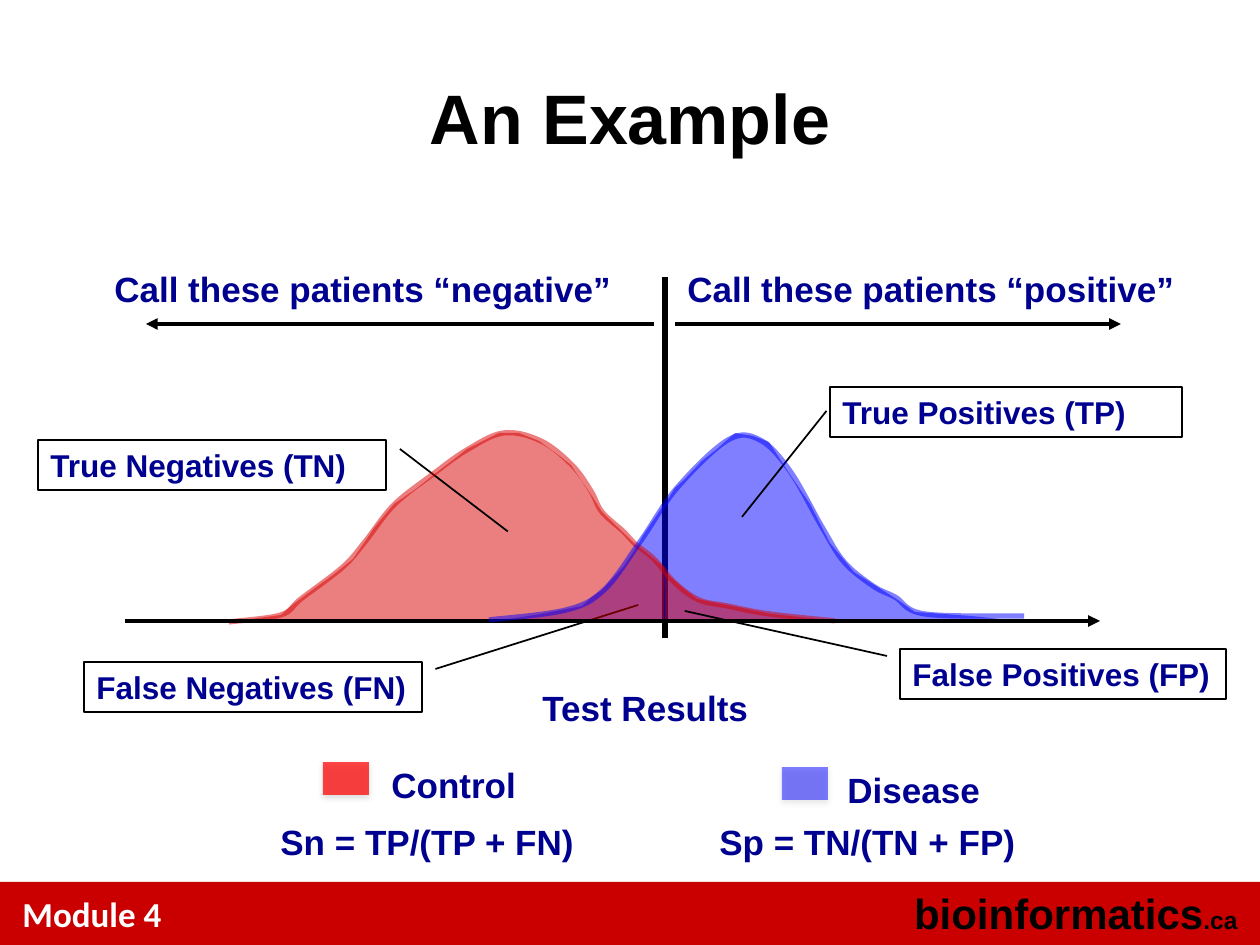
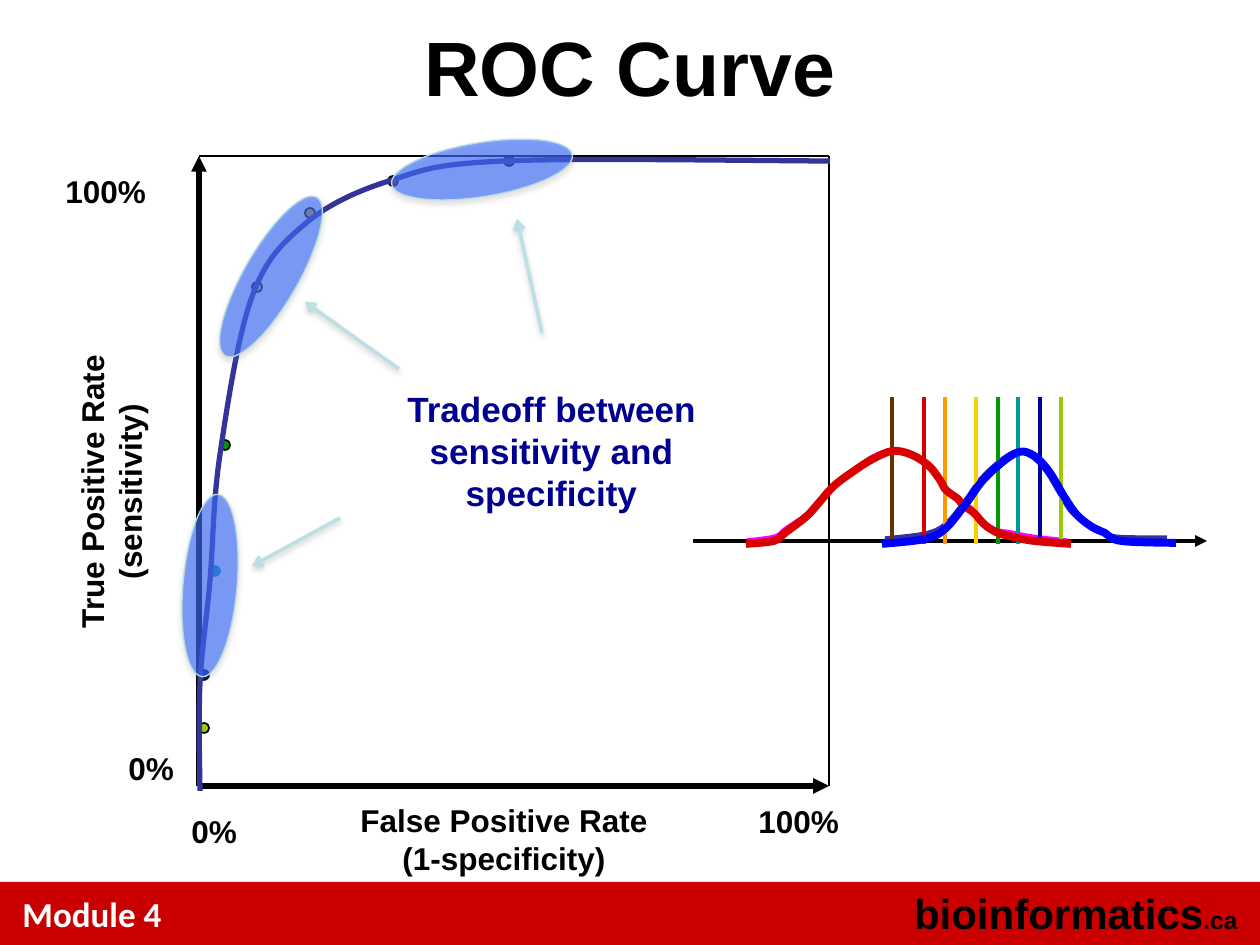
from lxml.etree import SubElement
from pptx import Presentation
from pptx.dml.color import RGBColor
from pptx.enum.shapes import MSO_CONNECTOR, MSO_SHAPE as SHAPE
from pptx.enum.text import MSO_ANCHOR as ANCHOR, PP_ALIGN as ALIGN
from pptx.oxml import parse_xml
from pptx.oxml.ns import qn
from pptx.util import Pt

PX = 914400 / 126
rgb = RGBColor.from_string

BLACK, WHITE, NAVY, BAND = "000000", "FFFFFF", "000090", "CA0000"
RED, BLUE, INDIGO = "D80000", "0000FF", "333399"
HIGHLIGHT, HIGHLIGHT_EDGE, POINTER = "3366FF", "B6DCDF", "BBE0E3"
SHADOW = (
    '<a:outerShdw xmlns:a="http://schemas.openxmlformats.org/drawingml/2006/main"'
    ' blurRad="40000" dist="23000" dir="5400000" rotWithShape="0">'
    '<a:srgbClr val="808080"><a:alpha val="35000"/></a:srgbClr></a:outerShdw>'
)


def write(slide, text, box, size, color=NAVY, align=ALIGN.LEFT, kind=None):
    """Add bold text in a text box, or in a preset shape if kind is given."""
    place = [round(v * PX) for v in box]
    if kind is None:
        shape = slide.shapes.add_textbox(*place)
    else:
        shape = slide.shapes.add_shape(kind, *place)
        shape.shadow.inherit = False
        shape.fill.background()
    frame = shape.text_frame
    frame.word_wrap = True
    frame.vertical_anchor = ANCHOR.TOP
    frame.text = text
    for paragraph in frame.paragraphs:
        paragraph.alignment = align
        paragraph.font.name = "Arial"
        paragraph.font.size = Pt(size)
        paragraph.font.bold = True
        paragraph.font.color.rgb = rgb(color)
    return shape


def stroke(slide, points, color, width, head=None, alpha=100, shadow=False):
    """Draw a straight connector for two points, a smooth curve for more."""
    spots = [(round(x * PX), round(y * PX)) for x, y in points]
    if len(spots) == 2:
        mark = slide.shapes.add_connector(MSO_CONNECTOR.STRAIGHT, *spots[0], *spots[1])
    else:
        padded = [spots[0], *spots, spots[-1]]
        steps = []
        for before, start, end, after in zip(padded, padded[1:], padded[2:], padded[3:]):
            steps.append([s + (e - b) / 6 for b, s, e in zip(before, start, end)])
            steps.append([e - (a - s) / 6 for s, e, a in zip(start, end, after)])
            steps.append(end)
        builder = slide.shapes.build_freeform(*spots[0], scale=1.0)
        builder.add_line_segments(steps, close=False)
        mark = builder.convert_to_shape()
        mark.fill.background()
        segments = list(mark._element.iter(qn("a:lnTo")))
        for triple in zip(segments[::3], segments[1::3], segments[2::3]):
            parent = triple[0].getparent()
            bezier = SubElement(parent, qn("a:cubicBezTo"))
            for segment in triple:
                bezier.append(segment[0])
                parent.remove(segment)
    mark.line.color.rgb = rgb(color)
    mark.line.width = Pt(width)
    properties = mark._element.spPr
    outline = properties.find(qn("a:ln"))
    if alpha < 100:
        SubElement(next(outline.iter(qn("a:srgbClr"))), qn("a:alpha"), val=str(alpha * 1000))
    if head:
        SubElement(outline, qn("a:tailEnd"), type=head)
    effects = SubElement(properties, qn("a:effectLst"))
    if shadow:
        effects.append(parse_xml(SHADOW))


deck = Presentation()
deck.slide_width, deck.slide_height = round(1260 * PX), round(945 * PX)

# Title and footer on both slides
slides = []
for title, box, size in [
    ("An Example", (21, 38, 1218, 158), 40),
    ("ROC Curve", (63, 0, 1134, 131), 44),
]:
    slide = deck.slides.add_slide(deck.slide_layouts[6])
    slides.append(slide)
    band = write(slide, "", (0, 882, 1260, 63), 18, kind=SHAPE.RECTANGLE)
    band.fill.solid()
    band.fill.fore_color.rgb = rgb(BAND)
    band.line.fill.background()
    module = write(slide, "Module 4", (10, 886, 924, 54), 20, WHITE)
    module.text_frame.paragraphs[0].font.name = "Calibri"
    site = write(slide, "bioinformatics", (878, 881, 372, 64), 24, BLACK, ALIGN.RIGHT)
    domain = site.text_frame.paragraphs[0].add_run()
    domain.text = ".ca"
    domain.font.size = Pt(14)
    heading = write(slide, title, box, size, BLACK, ALIGN.CENTER)
    heading.text_frame.vertical_anchor = ANCHOR.MIDDLE
example, roc = slides

# Slide 1: threshold and calls
stroke(example, [(665, 277), (665, 638)], BLACK, 3)
for call, box, start, end in [
    ("Call these patients “negative”", (102, 261, 552, 55), 654, 146),
    ("Call these patients “positive”", (675, 261, 539, 55), 675, 1121),
]:
    stroke(example, [(start, 324), (end, 324)], BLACK, 2.25, "triangle")
    write(example, call, box, 20)

# Slide 1: the four outcome regions, each with its callout
outcomes = [
    ("True Positives (TP)", (830, 387, 352, 50), (0.48, -0.01, 2.6, -0.25), BLUE,
     [(665, 504), (675, 488), (684, 480), (702, 461), (717, 449), (735, 433), (753, 436),
      (769, 442), (789, 473), (810, 504), (830, 543), (854, 572), (898, 600), (915, 612),
      (971, 616), (1018, 621), (665, 622)]),
    ("False Positives (FP)", (900, 649, 326, 50), (0.14, -0.04, -0.76, -0.66), RED,
     [(665, 621), (664, 571), (683, 588), (697, 599), (727, 605), (771, 614), (838, 621)]),
    ("False Negatives (FN)", (84, 662, 338, 50), (0.14, 1.04, -1.14, 1.64), BLUE,
     [(665, 503), (665, 622), (489, 622), (541, 614), (582, 606), (592, 597), (602, 590),
      (624, 566), (634, 551), (644, 534)]),
    ("True Negatives (TN)", (38, 440, 348, 50), (0.18, 1.04, 1.83, 1.35), RED,
     [(229, 622), (281, 615), (291, 606), (311, 591), (333, 575), (353, 559), (364, 543),
      (374, 528), (394, 504), (416, 489), (436, 473), (457, 457), (467, 449), (499, 433),
      (519, 433), (539, 441), (561, 457), (571, 465), (581, 480), (592, 496), (602, 512),
      (634, 543), (654, 559), (664, 567), (664, 622)]),
]
for outcome, box, pointer, color, corners in outcomes:
    builder = example.shapes.build_freeform(*corners[0], scale=PX)
    builder.add_line_segments(corners[1:], close=True)
    region = builder.convert_to_shape()
    region.shadow.inherit = False
    region.fill.solid()
    region.fill.fore_color.rgb = rgb(color)
    region.line.fill.background()
    SubElement(next(region._element.spPr.iter(qn("a:srgbClr"))), qn("a:alpha"), val="50000")
    callout = write(example, outcome, box, 18, kind=SHAPE.LINE_CALLOUT_1)
    callout.line.color.rgb = rgb(BLACK)
    callout.line.width = Pt(1)
    for i, value in enumerate(pointer):
        callout.adjustments[i] = value

# Slide 1: distributions over the result axis
stroke(example, [
    (229, 622), (281, 615), (301, 599), (343, 567), (365, 542), (394, 505), (432, 475),
    (467, 450), (504, 433), (541, 441), (572, 465), (591, 491), (602, 512), (624, 532),
    (634, 543), (654, 559), (675, 583), (699, 600), (727, 606), (769, 614), (835, 621),
], RED, 3, alpha=50)
stroke(example, [(125, 621), (1100, 621)], BLACK, 2.25, "triangle")
stroke(example, [
    (489, 620), (566, 610), (604, 590), (640, 542), (677, 488), (728, 440), (760, 440),
    (790, 471), (822, 527), (844, 562), (873, 586), (895, 597), (925, 614), (1024, 616),
], BLUE, 3, alpha=50)

# Slide 1: legend and formulas
for x, y, color, alpha in [(323, 762, "FF0000", 72), (782, 767, BLUE, 50)]:
    swatch = write(example, "", (x, y, 46, 33), 20, kind=SHAPE.RECTANGLE)
    swatch.fill.solid()
    swatch.fill.fore_color.rgb = rgb(color)
    swatch.line.fill.background()
    properties = swatch._element.spPr
    SubElement(next(properties.iter(qn("a:srgbClr"))), qn("a:alpha"), val=str(alpha * 1000))
    properties.find(qn("a:effectLst")).append(parse_xml(SHADOW))
for caption, x, y, width in [
    ("Test Results", 530, 680, 343),
    ("Control", 379, 757, 166),
    ("Disease", 835, 762, 166),
    ("Sn = TP/(TP + FN)", 268, 814, 340),
    ("Sp = TN/(TN + FP)", 707, 814, 340),
]:
    write(example, caption, (x, y, width, 55), 20)

# Slide 2: ROC frame and axes
left, top, right, bottom = 199, 156, 829, 786
stroke(roc, [(left, top), (right, top)], BLACK, 1)
stroke(roc, [(right, top), (right, bottom)], BLACK, 1)
for tip in [(left, top), (right, bottom)]:
    stroke(roc, [(left, bottom), tip], BLACK, 3, "triangle")
sensitivity = write(roc, "True Positive Rate\n(sensitivity)", (-78, 447, 378, 89), 18,
                    BLACK, ALIGN.CENTER)
sensitivity.rotation = 270
write(roc, "False Positive Rate\n(1-specificity)", (336, 795, 336, 89), 18,
      BLACK, ALIGN.CENTER)
for tick, x, y in [("0%", 116, 743), ("100%", 53, 166), ("0%", 179, 806), ("100%", 746, 796)]:
    write(roc, tick, (x, y, 116, 50), 18, BLACK)

# Slide 2: small distributions, under the cutoffs
stroke(roc, [(693, 541), (1207, 541)], BLACK, 2.25, "triangle")
stroke(roc, [
    (885, 539), (925, 534), (945, 525), (964, 503), (984, 476), (1011, 454), (1028, 454),
    (1045, 469), (1061, 495), (1072, 512), (1087, 523), (1099, 529), (1115, 537), (1167, 538),
], INDIGO, 3)
stroke(roc, [
    (747, 541), (775, 537), (786, 529), (808, 514), (819, 501), (834, 485), (854, 471),
    (873, 457), (893, 451), (912, 454), (929, 465), (939, 479), (945, 488), (956, 498),
    (961, 503), (973, 510), (983, 522), (995, 530), (1011, 533), (1032, 537), (1067, 541),
], "FF00FF", 3)

# Slide 2: each cutoff and its point on the ROC curve
for color, cutoff, x, y, edge in [
    ("663300", 892, 504, 156, BLACK),
    (RED, 924, 388, 176, BLACK),
    ("FF9900", 945, 305, 208, BLACK),
    ("FFCC00", 976, 252, 282, BLACK),
    ("009900", 998, 220, 440, BLACK),
    ("009999", 1018, 210, 566, "009999"),
    ("000099", 1040, 199, 670, BLACK),
    ("99CC00", 1061, 199, 723, BLACK),
]:
    stroke(roc, [(cutoff, 397), (cutoff, 544)], color, 2.25)
    dot = write(roc, "", (x, y, 10, 10), 18, kind=SHAPE.OVAL)
    dot.fill.solid()
    dot.fill.fore_color.rgb = rgb(color)
    dot.line.color.rgb = rgb(edge)
    dot.line.width = Pt(1)

# Slide 2: distributions over the cutoffs, then the ROC curve
stroke(roc, [
    (746, 544), (774, 541), (785, 533), (806, 517), (818, 504), (834, 486), (854, 471),
    (873, 459), (893, 451), (912, 455), (929, 466), (940, 480), (946, 490), (958, 499),
    (963, 505), (974, 513), (985, 525), (998, 533), (1013, 537), (1034, 541), (1071, 544),
], RED, 4.5)
stroke(roc, [
    (882, 544), (925, 539), (945, 529), (965, 505), (985, 478), (1014, 454), (1031, 454),
    (1048, 470), (1065, 498), (1077, 515), (1092, 527), (1105, 533), (1121, 541), (1176, 543),
], BLUE, 4.5)
stroke(roc, [
    (830, 161), (504, 161), (389, 181), (305, 224), (252, 297), (220, 455), (210, 581),
    (200, 685), (200, 791),
], INDIGO, 3)

# Slide 2: tradeoff note pointing at three stretches of the curve
tradeoff = write(roc, "Tradeoff between sensitivity and specificity", (388, 383, 327, 135), 20,
                 align=ALIGN.CENTER)
tradeoff.text_frame.vertical_anchor = ANCHOR.MIDDLE
for x, y, angle, start, tip in [
    (455, 78, 80.8, (542, 333), (517, 219)),
    (244, 185, 30, (399, 369), (305, 302)),
    (183, 494, 5, (340, 518), (252, 566)),
]:
    stretch = write(roc, "", (x, y, 54, 183), 18, kind=SHAPE.OVAL)
    stretch.rotation = angle
    stretch.fill.solid()
    stretch.fill.fore_color.rgb = rgb(HIGHLIGHT)
    properties = stretch._element.spPr
    SubElement(next(properties.iter(qn("a:srgbClr"))), qn("a:alpha"), val="60000")
    stretch.line.color.rgb = rgb(HIGHLIGHT_EDGE)
    stretch.line.width = Pt(0.75)
    properties.find(qn("a:effectLst")).append(parse_xml(SHADOW))
    stroke(roc, [start, tip], POINTER, 2, "arrow", shadow=True)

deck.save("out.pptx")
